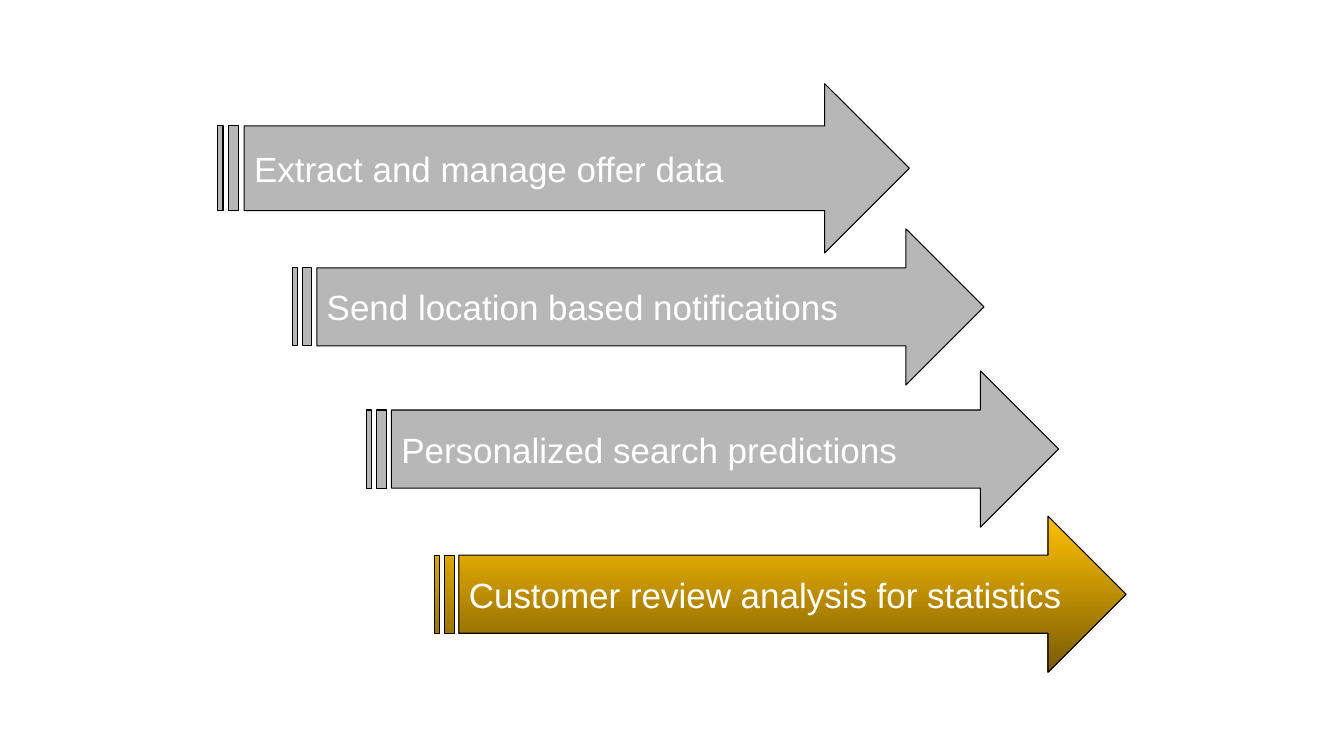
import dataclasses

import pptx
import pptx.dml.color
import pptx.enum.shapes
import pptx.enum.text
import pptx.util

Inches = pptx.util.Inches
WIDTH = 6.86
GRAY = ("B7B7B7",)
GOLD = ("FFC002", "795B04")


@dataclasses.dataclass
class Arrow:
    text: str
    left: float
    top: float
    height: float = 1.55
    fill: tuple[str, ...] = GRAY


# Back to front
ARROWS = [
    Arrow("Extract and manage offer data", 2.16, 0.83, height=1.68),
    Arrow("Personalized search predictions", 3.64, 3.68),
    Arrow("Customer review analysis for statistics", 4.31, 5.12, fill=GOLD),
    Arrow("Send location based notifications", 2.9, 2.27),
]


def color(code: str) -> pptx.dml.color.RGBColor:
    return pptx.dml.color.RGBColor.from_string(code)


def paint(fill, codes: tuple[str, ...]) -> None:
    """Fill solid for one colour, or from top to bottom for two."""
    if len(codes) == 1:
        fill.solid()
        fill.fore_color.rgb = color(codes[0])
        return
    fill.gradient()
    fill.gradient_angle = 270
    for stop, code in zip(fill.gradient_stops, codes):
        stop.color.rgb = color(code)


def write(frame, text: str, *, size: float = 25, font: str = "Arial",
          ink: str = "FFFFFF", inset: float = 0.1) -> None:
    frame.word_wrap = True
    frame.vertical_anchor = pptx.enum.text.MSO_ANCHOR.MIDDLE
    frame.margin_left = frame.margin_right = Inches(inset)
    frame.margin_top = frame.margin_bottom = Inches(inset)
    para = frame.paragraphs[0]
    para.alignment = pptx.enum.text.PP_ALIGN.LEFT
    run = para.add_run()
    run.text = text
    run.font.size = pptx.util.Pt(size)
    run.font.name = font
    run.font.color.rgb = color(ink)


def draw(slide, arrow: Arrow) -> None:
    shape = slide.shapes.add_shape(
        pptx.enum.shapes.MSO_SHAPE.STRIPED_RIGHT_ARROW,
        Inches(arrow.left), Inches(arrow.top),
        Inches(WIDTH), Inches(arrow.height))
    shape.shadow.inherit = False
    paint(shape.fill, arrow.fill)
    shape.line.color.rgb = color("000000")
    shape.line.width = pptx.util.Pt(0.75)
    write(shape.text_frame, arrow.text)


def main() -> None:
    deck = pptx.Presentation()
    deck.slide_width = Inches(13.33)
    deck.slide_height = Inches(7.5)
    slide = deck.slides.add_slide(deck.slide_layouts[6])

    # Staircase of arrows
    for arrow in ARROWS:
        draw(slide, arrow)

    deck.save("out.pptx")


if __name__ == "__main__":
    main()
